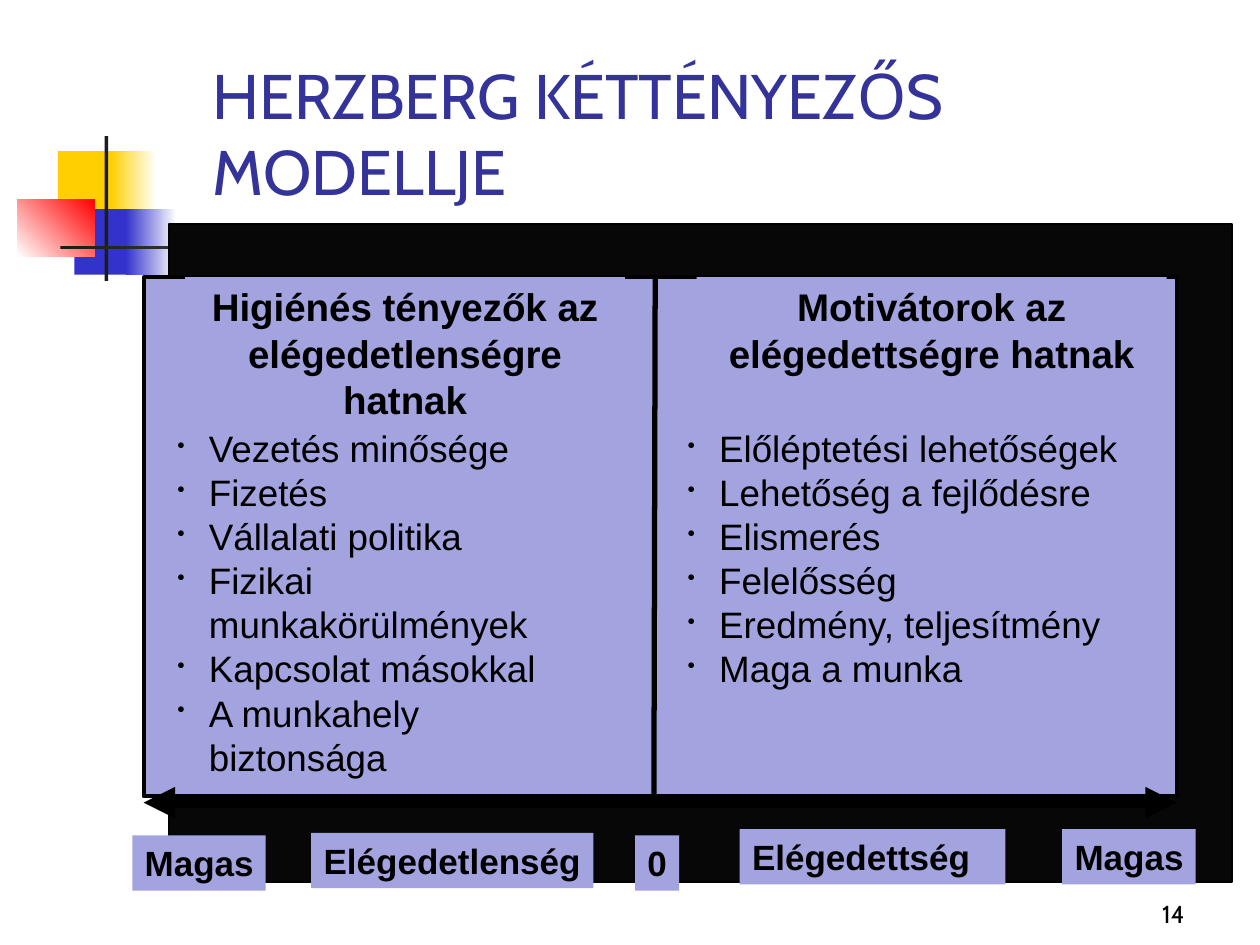
"""Build the slide on Herzberg's two-factor model."""
from lxml.etree import SubElement
from pptx import Presentation
from pptx.dml.color import RGBColor
from pptx.enum.shapes import MSO_CONNECTOR, MSO_SHAPE
from pptx.enum.text import MSO_ANCHOR, MSO_AUTO_SIZE, PP_ALIGN
from pptx.oxml.ns import qn
from pptx.util import Inches, Pt

BLACK, LILAC, WHITE = "000000", "A3A3E0", "FFFFFF"
YELLOW, BLUE, RED, GRAY = "FFCF01", "3333CC", "FF0000", "1C1C1C"

ORNAMENTS = [
    ((0.46, 1.2, 0.48, 0.52), YELLOW),
    ((0.88, 1.2, 0.36, 0.52), (YELLOW, WHITE, 0)),
    ((0.59, 1.66, 0.46, 0.52), BLUE),
    ((1, 1.66, 0.4, 0.52), (BLUE, WHITE, 0)),
    ((0.14, 1.58, 0.61, 0.46), (WHITE, RED, 45)),
    ((0.83, 1.08, 0.03, 1.15), GRAY),
    ((0.48, 1.95, 9, 0.03), (GRAY, WHITE, 0)),
]
TITLE = "HERZBERG KÉTTÉNYEZŐS MODELLJE"
PAGE_NUMBER = "14"
PANELS = [
    ((1.34, 1.78, 8.44, 5.22), "070707", 1),
    ((1.14, 2.2, 8.2, 4.12), LILAC, 2.25),
]
LINES = [
    ((1.14, 6.37, 9.34, 6.37), 6, True),
    ((5.2, 2.2, 5.19, 6.31), 3, False),
]
SCALE = [
    ((1.05, 6.63, 1.06, 0.44), "Magas", PP_ALIGN.LEFT, 0),
    ((8.43, 6.58, 1.06, 0.44), "Magas", PP_ALIGN.LEFT, 0),
    ((2.47, 6.61, 2.24, 0.44), "Elégedetlenség", PP_ALIGN.LEFT, 0),
    ((5.87, 6.58, 2.11, 0.44), "Elégedettség", PP_ALIGN.LEFT, 0),
    ((5.04, 6.63, 0.35, 0.44), "0", PP_ALIGN.CENTER, 0.1),
]
HEADINGS = [
    ((1.47, 2.2, 3.49, 1.2), "Higiénés tényezők az elégedetlenségre hatnak"),
    ((5.53, 2.2, 3.73, 0.84), "Motivátorok az elégedettségre hatnak"),
]
FACTORS = [
    ((1.31, 3.33, 3.57, 2.9), [
        "Vezetés minősége", "Fizetés", "Vállalati politika",
        "Fizikai munkakörülmények", "Kapcsolat másokkal",
        "A munkahely biztonsága"]),
    ((5.36, 3.33, 3.9, 2.2), [
        "Előléptetési lehetőségek", "Lehetőség a fejlődésre", "Elismerés",
        "Felelősség", "Eredmény, teljesítmény", "Maga a munka"]),
]
TITLE_FONT = {"name": "Cabin", "size": Pt(36)}
NUMBER_FONT = {"name": "Cabin", "size": Pt(14)}
SCALE_FONT = {"name": "Arial", "size": Pt(20), "bold": True}
HEADING_FONT = {"name": "Arial", "size": Pt(22), "bold": True}
FACTOR_FONT = {"name": "Arial", "size": Pt(21), "bold": False}


def color(value):
    return RGBColor.from_string(value)


def add_rectangle(page, place, fill, line_width=None):
    box = page.shapes.add_shape(MSO_SHAPE.RECTANGLE, *map(Inches, place))
    box.shadow.inherit = False
    if isinstance(fill, tuple):
        *stops, angle = fill
        box.fill.gradient()
        box.fill.gradient_angle = angle
        for stop, value in zip(box.fill.gradient_stops, stops):
            stop.color.rgb = color(value)
    else:
        box.fill.solid()
        box.fill.fore_color.rgb = color(fill)
    if line_width:
        box.line.color.rgb = color(BLACK)
        box.line.width = Pt(line_width)
    else:
        box.line.fill.background()
    return box


def add_bullet(para):
    properties = para._p.get_or_add_pPr()
    properties.set("marL", str(Inches(0.25)))
    properties.set("indent", str(-Inches(0.25)))
    bullet_color = SubElement(properties, qn("a:buClr"))
    SubElement(bullet_color, qn("a:srgbClr")).set("val", BLACK)
    SubElement(properties, qn("a:buSzPct")).set("val", "60000")
    SubElement(properties, qn("a:buChar")).set("char", "•")


def write(box, texts, font, align=PP_ALIGN.LEFT, anchor=MSO_ANCHOR.TOP,
          ink=BLACK, right_margin=0.1, bullets=False):
    frame = box.text_frame
    frame.word_wrap = True
    frame.auto_size = MSO_AUTO_SIZE.NONE
    frame.vertical_anchor = anchor
    frame.margin_right = Inches(right_margin)
    for index, text in enumerate(texts):
        para = frame.add_paragraph() if index else frame.paragraphs[0]
        para.alignment = align
        if bullets:
            add_bullet(para)
        span = para.add_run()
        span.text = text
        span.font.color.rgb = color(ink)
        for name, value in font.items():
            setattr(span.font, name, value)


def add_line(page, ends, width, arrows):
    line = page.shapes.add_connector(MSO_CONNECTOR.STRAIGHT, *map(Inches, ends))
    line.line.color.rgb = color(BLACK)
    line.line.width = Pt(width)
    if arrows:
        for end in ("a:headEnd", "a:tailEnd"):
            SubElement(line.line._get_or_add_ln(), qn(end)).set("type", "triangle")
    SubElement(line._element.spPr, qn("a:effectLst"))


def main():
    deck = Presentation()
    deck.slide_width, deck.slide_height = Inches(10), Inches(7.5)
    page = deck.slides.add_slide(deck.slide_layouts[6])

    for place, fill in ORNAMENTS:
        add_rectangle(page, place, fill)
    title = page.shapes.add_textbox(*map(Inches, (1.59, 0.67, 8.2, 1.03)))
    write(title, [TITLE], TITLE_FONT, anchor=MSO_ANCHOR.BOTTOM, ink="333399")
    number = page.shapes.add_textbox(*map(Inches, (7.42, 6.92, 2.08, 0.5)))
    write(number, [PAGE_NUMBER], NUMBER_FONT, PP_ALIGN.RIGHT, MSO_ANCHOR.BOTTOM)

    for place, fill, width in PANELS:
        add_rectangle(page, place, fill, width)
    for ends, width, arrows in LINES:
        add_line(page, ends, width, arrows)
    for place, text, align, margin in SCALE:
        label = add_rectangle(page, place, LILAC)
        write(label, [text], SCALE_FONT, align, right_margin=margin)
    for place, text in HEADINGS:
        write(add_rectangle(page, place, LILAC), [text], HEADING_FONT, PP_ALIGN.CENTER)
    for place, texts in FACTORS:
        write(add_rectangle(page, place, LILAC), texts, FACTOR_FONT, bullets=True)

    deck.save("out.pptx")


if __name__ == "__main__":
    main()
